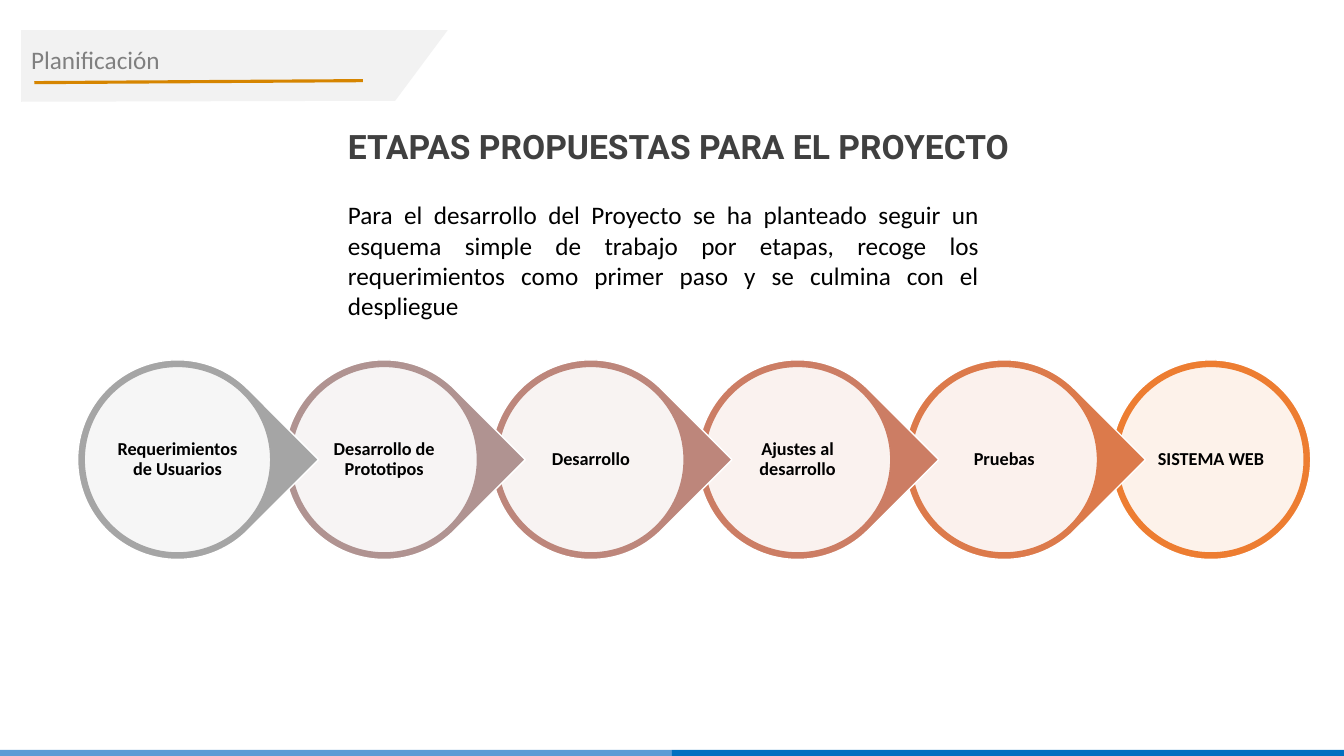
"""Build the slide with the proposed project stages."""
from pptx import Presentation
from pptx.dml.color import RGBColor
from pptx.enum.shapes import MSO_CONNECTOR, MSO_SHAPE
from pptx.enum.text import MSO_ANCHOR, MSO_AUTO_SIZE, PP_ALIGN
from pptx.oxml.ns import qn
from pptx.util import Inches, Pt
from lxml.etree import SubElement


def color(hex_value):
    return RGBColor.from_string(hex_value)


def set_text(sp, text, size, hex_value, font="Calibri", bold=False, align=PP_ALIGN.LEFT):
    tf = sp.text_frame
    tf.text = text
    tf.word_wrap = True
    tf.auto_size = MSO_AUTO_SIZE.NONE
    p = tf.paragraphs[0]
    p.alignment = align
    p.space_before = Pt(0)
    r = p.runs[0]
    r.font.name, r.font.size, r.font.bold = font, Pt(size), bold
    r.font.color.rgb = color(hex_value)
    return tf


prs = Presentation()
prs.slide_width, prs.slide_height = Inches(13.33), Inches(7.5)
W, H = prs.slide_width, prs.slide_height
s = prs.slides.add_slide(prs.slide_layouts[1])

bar_height = Inches(0.06)
for i, fill in enumerate(["5B9BD5", "0070C0"]):
    sp = s.shapes.add_shape(MSO_SHAPE.RECTANGLE, i * W // 2, H - bar_height, W // 2, bar_height)
    sp.shadow.inherit = False
    sp.fill.solid()
    sp.fill.fore_color.rgb = color(fill)
    sp.line.fill.background()

outline = s.shapes.build_freeform(Inches(0.21), Inches(0.3))
outline.add_line_segments([(Inches(x), Inches(y)) for x, y in [(4.44, 0.3), (3.92, 1), (0.21, 1.01)]])
tab = outline.convert_to_shape()
tab.shadow.inherit = False
tab.fill.solid()
tab.fill.fore_color.rgb = color("F2F2F2")
tab.line.fill.background()

section = s.shapes.add_textbox(Inches(0.21), Inches(0.39), Inches(3.79), Inches(0.4))
set_text(section, "Planificación", 18, "808080")

rule = s.shapes.add_connector(MSO_CONNECTOR.STRAIGHT, Inches(0.34), Inches(0.82), Inches(3.6), Inches(0.8))
rule.line.color.rgb = color("D68500")
rule.line.width = Pt(2.25)
SubElement(rule._element.spPr, qn("a:effectLst"))

title, body = s.placeholders
title.left, title.top, title.width, title.height = map(Inches, (3.35, 1.2, 7.74, 0.5))
tf = set_text(title, "ETAPAS PROPUESTAS PARA EL PROYECTO", 24, "404040", "Roboto", True)
tf.vertical_anchor = MSO_ANCHOR.TOP

body.left, body.top, body.width, body.height = map(Inches, (3.35, 1.93, 6.46, 1.31))
tf = set_text(body, "Para el desarrollo del Proyecto se ha planteado seguir un esquema simple de trabajo "
              "por etapas, recoge los requerimientos como primer paso y se culmina con el despliegue",
              18, "000000", align=PP_ALIGN.JUSTIFY)
pPr = tf.paragraphs[0]._p.get_or_add_pPr()
pPr.set("marL", "0")
pPr.set("indent", "0")
SubElement(pPr, qn("a:buNone"))

stages = [
    ("Requerimientos de Usuarios", "A5A5A5"),
    ("Desarrollo de Prototipos", "B09391"),
    ("Desarrollo", "BD867B"),
    ("Ajustes al desarrollo", "CC7D64"),
    ("Pruebas", "DC7A4B"),
    ("SISTEMA WEB", "ED7D31"),
]
left, top, pitch = Inches(0.77), Inches(3.57), Inches(2.05)
outer, inner = Inches(1.98), Inches(1.85)
margin = (outer - inner) // 2

for i, (name, hue) in reversed(list(enumerate(stages))):
    x = left + i * pitch
    last = i == len(stages) - 1
    ring = s.shapes.add_shape(MSO_SHAPE.OVAL if last else MSO_SHAPE.TEAR, x, top, outer, outer)
    ring.rotation = 0 if last else 45
    disc = s.shapes.add_shape(MSO_SHAPE.OVAL, x + margin, top + margin, inner, inner)
    for sp, fill, line in [(ring, hue, "FFFFFF"), (disc, "FFFFFF", hue)]:
        sp.shadow.inherit = False
        sp.fill.solid()
        sp.fill.fore_color.rgb = color(fill)
        sp.line.color.rgb = color(line)
        sp.line.width = Pt(1)
    white = disc._element.spPr.find(qn("a:solidFill")).find(qn("a:srgbClr"))
    SubElement(white, qn("a:alpha")).set("val", "90000")
    tf = set_text(disc, name, 13, "000000", bold=True, align=PP_ALIGN.CENTER)
    tf.vertical_anchor = MSO_ANCHOR.MIDDLE
    tf.margin_left = tf.margin_right = tf.margin_top = tf.margin_bottom = Inches(0.02)
    tf.paragraphs[0].line_spacing = 0.9

prs.save("out.pptx")
